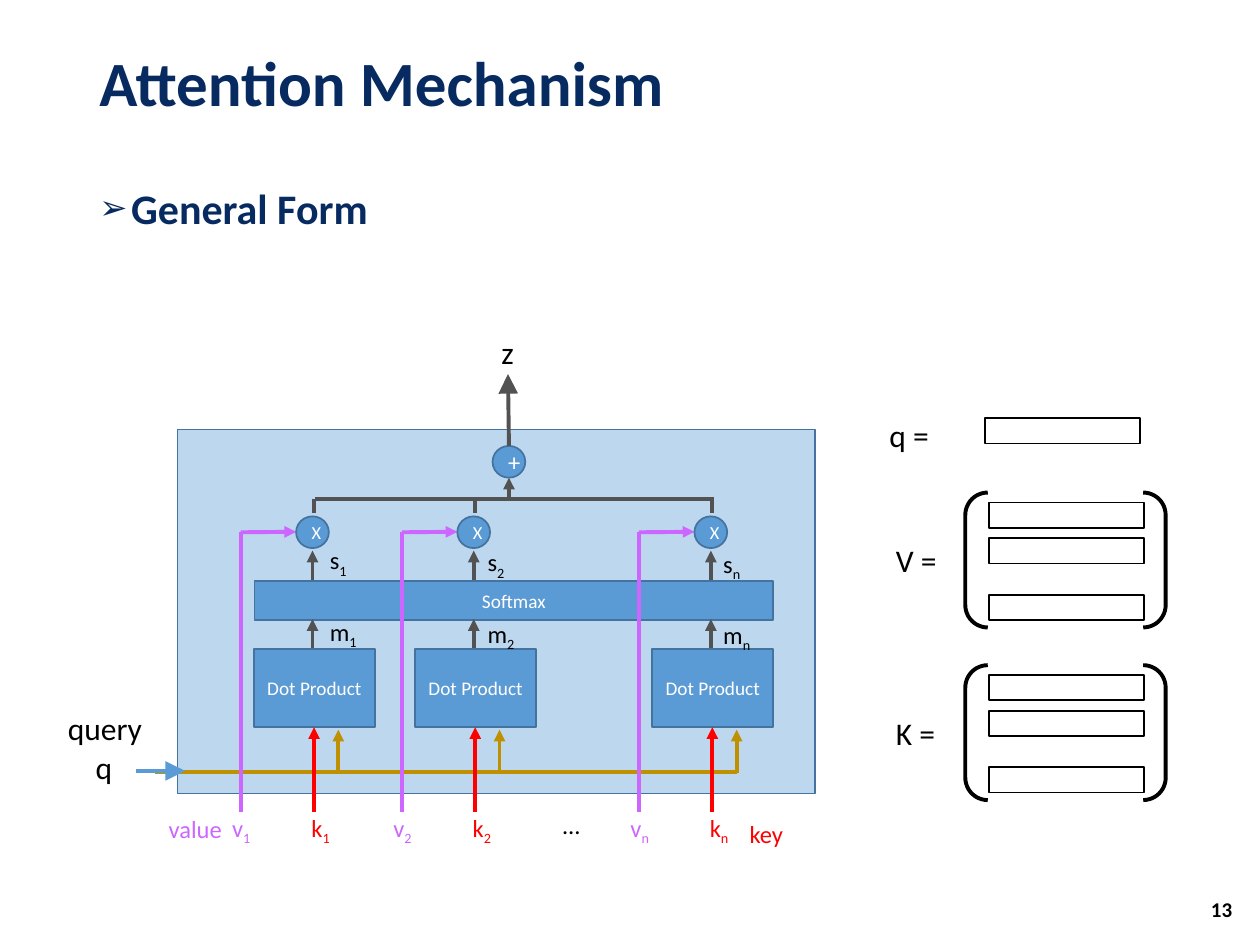
from lxml import etree
from pptx import Presentation
from pptx.dml.color import RGBColor
from pptx.enum.shapes import MSO_CONNECTOR, MSO_SHAPE
from pptx.enum.text import MSO_ANCHOR, MSO_AUTO_SIZE, PP_ALIGN
from pptx.oxml.ns import qn
from pptx.util import Cm, Pt

RECT, OVAL, PAIR = MSO_SHAPE.RECTANGLE, MSO_SHAPE.OVAL, MSO_SHAPE.DOUBLE_BRACKET
LEFT, MID, RIGHT = PP_ALIGN.LEFT, PP_ALIGN.CENTER, PP_ALIGN.RIGHT
TOP, CENTRE = MSO_ANCHOR.TOP, MSO_ANCHOR.MIDDLE
STRAIGHT = MSO_CONNECTOR.STRAIGHT
GROW = MSO_AUTO_SIZE.SHAPE_TO_FIT_TEXT
NAVY, BLACK, WHITE = "072B61", "000000", "FFFFFF"
BLUE, EDGE, PALE = "5B9BD5", "43739E", "BDD7EE"
GREY, GOLD, RED, PINK = "525252", "BF9000", "FF0000", "CC66FF"


def tint(code):
    return RGBColor.from_string(code)


def write(frame, text, size=14, color=BLACK, bold=False, align=LEFT):
    para = frame.paragraphs[0]
    para.alignment = align
    for low, part in enumerate(text.split("_")):
        run = para.add_run()
        run.text = part
        run.font.name = "Calibri"
        run.font.size = Pt(size)
        run.font.bold = bold
        run.font.color.rgb = tint(color)
        if low:
            run._r.get_or_add_rPr().set("baseline", "-25000")
    return para


class Board:
    """Draw styled elements, measured in centimetres, on one slide."""

    def __init__(self, slide):
        self.slide = slide
        self.shapes = slide.shapes

    def holder(self, index, area, text, size, anchor):
        shape = self.slide.placeholders[index]
        shape.left, shape.top, shape.width, shape.height = map(Cm, area)
        shape.text_frame.vertical_anchor = anchor
        para = write(shape.text_frame, text, size=size, color=NAVY, bold=True)
        para.line_spacing = 0.9
        para.space_before = Pt(0)
        return para

    def bullet(self, para, char):
        props = para._p.get_or_add_pPr()
        props.set("marL", str(Cm(0.64)))
        props.set("indent", str(Cm(-0.64)))
        etree.SubElement(props, qn("a:buSzPct")).set("val", "80000")
        etree.SubElement(props, qn("a:buChar")).set("char", char)

    def shape(self, kind, x, y, w, h, fill=None, line=EDGE, width=1, text="", size=11):
        item = self.shapes.add_shape(kind, Cm(x), Cm(y), Cm(w), Cm(h))
        item.shadow.inherit = False
        if fill:
            item.fill.solid()
            item.fill.fore_color.rgb = tint(fill)
        else:
            item.fill.background()
        item.line.color.rgb = tint(line)
        item.line.width = Pt(width)
        if text:
            item.text_frame.vertical_anchor = CENTRE
            write(item.text_frame, text, size=size, color=WHITE, align=MID)

    def line(self, x, y, to_x, to_y, color=GREY, head=None):
        item = self.shapes.add_connector(STRAIGHT, Cm(x), Cm(y), Cm(to_x), Cm(to_y))
        item.line.color.rgb = tint(color)
        item.line.width = Pt(2.25)
        if head:
            end = etree.SubElement(item.line._get_or_add_ln(), qn("a:tailEnd"))
            for key, val in (("type", "triangle"), ("w", head), ("len", head)):
                end.set(key, val)
        etree.SubElement(item._element.spPr, qn("a:effectLst"))

    def label(self, text, x, y, w, h=0.86, **style):
        frame = self.shapes.add_textbox(Cm(x), Cm(y), Cm(w), Cm(h)).text_frame
        frame.word_wrap = False
        frame.auto_size = GROW
        write(frame, text, **style)

    def number(self, text, x, y, w, h):
        frame = self.shapes.add_textbox(Cm(x), Cm(y), Cm(w), Cm(h)).text_frame
        frame.word_wrap = True
        frame.vertical_anchor = CENTRE
        write(frame, text, size=12, bold=True, align=RIGHT)

    def column(self, x, tag, note, step):
        self.shape(RECT, x - 1.18, 13.08, 2.44, 1.57, fill=BLUE, text="Dot Product")
        self.line(x + 0.52, 15.58, x + 0.52, 14.71, color=GOLD, head="med")
        self.line(x, 13.07, x, 12.48, head="med")
        self.line(x, 11.69, x, 11.1, head="med")
        self.line(x + 0.03, 10.34, x + 0.03, 10.06)
        self.label(f"m_{tag}", note, 12.32 + 0.03 * step, 1.07)
        self.label(f"s_{tag}", note, 10.87 + 0.04 * step, 0.86)
        self.line(x - 1.45, 16.36, x - 1.45, 15.21, color=PINK)
        self.line(x - 1.45, 15.27, x - 1.45, 10.72, color=PINK)
        self.line(x - 1.45, 10.73, x - 0.33, 10.72, color=PINK, head="med")
        self.shape(OVAL, x - 0.33, 10.41, 0.66, 0.64, fill=BLUE, text="X", size=10.5)
        self.line(x + 0.03, 16.36, x + 0.03, 14.66, color=RED, head="med")
        self.label(f"k_{tag}", x - 0.27, 16.26, 0.91, color=RED)
        self.label(f"v_{tag}", x - 1.87, 16.26, 0.91, color=PINK)

    def matrix(self, name, y):
        for drop in (0.2, 0.92, 2.06):
            self.shape(RECT, 19.94, y + drop, 3.12, 0.51, line=BLACK)
        self.label(name, 17.81, y + 0.86, 1.35, 1.02, size=18)
        self.shape(PAIR, 19.46, y, 4.04, 2.72, line=BLACK, width=2.25)


def main():
    deck = Presentation()
    deck.slide_width, deck.slide_height = Cm(25.4), Cm(19.05)
    board = Board(deck.slides.add_slide(deck.slide_layouts[1]))

    board.holder(0, (1.75, 0.46, 21.9, 2.57), "Attention Mechanism", 36, CENTRE)
    para = board.holder(1, (1.75, 3.66, 21.9, 13.82), "General Form", 24, TOP)
    board.bullet(para, "➢")

    board.shape(RECT, 3.58, 8.66, 12.85, 7.34, fill=PALE)
    board.line(3.12, 15.57, 14.86, 15.57, color=GOLD)
    board.shape(RECT, 5.13, 11.71, 10.46, 0.79, fill=BLUE, text="Softmax")
    cols = ((6.3, "1", 6.4), (9.55, "2", 9.58), (14.33, "n", 14.33))
    for step, (x, tag, note) in enumerate(cols):
        board.column(x, tag, note, step)

    board.line(6.35, 10.06, 14.4, 10.06)
    board.line(10.26, 10.03, 10.26, 9.63, head="med")
    board.shape(OVAL, 9.93, 8.99, 0.66, 0.64, fill=BLUE, text="+", size=14)
    board.line(10.26, 8.99, 10.24, 7.54, head="lg")
    board.line(2.74, 15.54, 3.73, 15.54, color=BLUE, head="lg")

    board.label("…", 11.1, 16.21, 1.02)
    board.label("key", 14.86, 16.38, 1.19, color=RED)
    board.label("value", 3.15, 16.28, 1.6, color=PINK)
    for text, x, y, w in (("z", 9.86, 6.58, 0.79), ("query", 1.12, 14.17, 2.03),
                          ("q", 1.68, 14.96, 0.86), ("q =", 17.68, 8.26, 1.35)):
        board.label(text, x, y, w, 1.02, size=18)

    board.shape(RECT, 19.86, 8.43, 3.12, 0.51, line=BLACK)
    board.matrix("V =", 9.93)
    board.matrix("K =", 13.41)
    board.number("13", 23.77, 17.81, 1.32, 1.02)
    deck.save("out.pptx")


if __name__ == "__main__":
    main()
